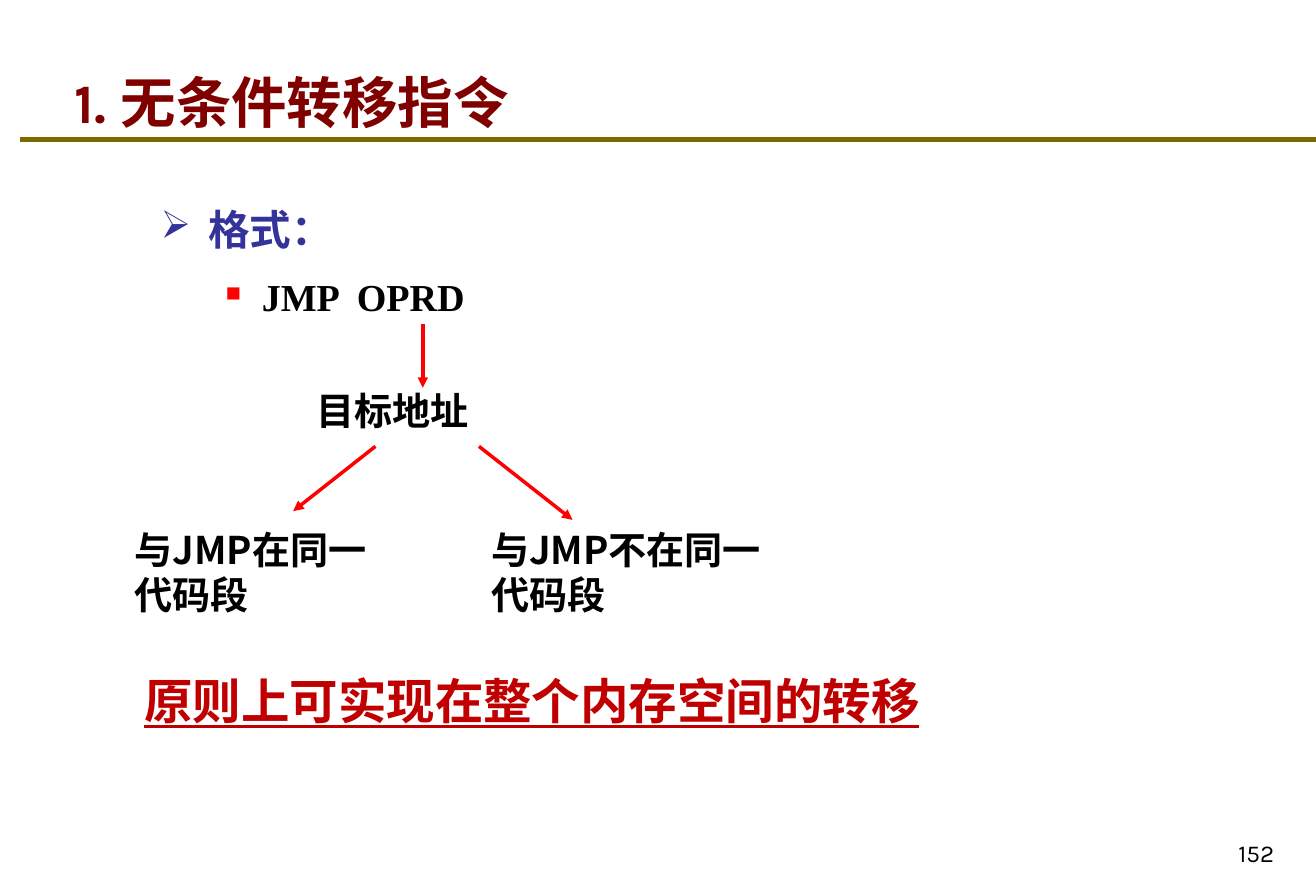
"""Build the slide on the unconditional jump instruction."""
from dataclasses import dataclass

from lxml import etree
from pptx import Presentation
from pptx.dml.color import RGBColor
from pptx.enum.shapes import MSO_CONNECTOR
from pptx.enum.text import MSO_ANCHOR, PP_ALIGN
from pptx.oxml.ns import qn
from pptx.util import Inches, Pt

STRAIGHT = MSO_CONNECTOR.STRAIGHT
BOTTOM, TOP = MSO_ANCHOR.BOTTOM, MSO_ANCHOR.TOP
LEFT = PP_ALIGN.LEFT


@dataclass(frozen=True)
class Theme:
    sans: str = "Karla"
    cjk: str = "Noto Sans CJK SC"
    serif: str = "Times New Roman"
    black: str = "000000"
    maroon: str = "800000"
    navy: str = "333399"
    red: str = "FF0000"
    crimson: str = "C00000"
    olive: str = "806800"
    title: int = 32
    conclusion: int = 28
    heading: int = 24
    body: int = 22
    number: int = 14


THEME = Theme()


@dataclass(frozen=True)
class Style:
    font: str
    size: int
    color: str
    bold: bool = True
    underline: bool = False


@dataclass(frozen=True)
class Label:
    text: str
    box: tuple[float, float, float, float]
    style: Style
    anchor: MSO_ANCHOR = TOP


@dataclass(frozen=True)
class Line:
    start: tuple[float, float]
    end: tuple[float, float]
    color: str = THEME.red
    width: float = 2
    arrow: bool = True


@dataclass(frozen=True)
class Bullet:
    text: str
    style: Style
    char: str
    color: str
    percent: int
    margin: float
    hanging: float


NODE = Style(THEME.cjk, THEME.body, THEME.black)
TITLE_BOX = (0.5, 0.22, 8.99, 0.91)
TITLE_RUNS = [
    ("1. ", Style(THEME.sans, THEME.title, THEME.maroon)),
    ("无条件转移指令", Style(THEME.cjk, THEME.title, THEME.maroon)),
]
LABELS = [
    Label("152", (9.83, 6.54, 0.64, 0.47),
          Style(THEME.sans, THEME.number, THEME.black, bold=False), BOTTOM),
    Label("目标地址", (2.44, 3.06, 1.93, 0.47), NODE),
    Label("与JMP在同一代码段", (0.98, 4.17, 2.29, 0.84), NODE),
    Label("与JMP不在同一代码段", (3.84, 4.17, 2.46, 0.84), NODE),
    Label("原则上可实现在整个内存空间的转移", (1.06, 5.33, 7.03, 0.57),
          Style(THEME.cjk, THEME.conclusion, THEME.crimson, underline=True)),
]
FORMAT_BOX = (1.19, 1.51, 6.01, 1.52)
BULLETS = [
    Bullet("格式：", Style(THEME.cjk, THEME.heading, THEME.navy),
           "➢", THEME.navy, 93, 0.38, 0.38),
    Bullet("JMP  OPRD", Style(THEME.serif, THEME.body, THEME.black),
           "■", THEME.red, 55, 0.81, 0.29),
]
LINES = [
    Line((0.16, 1.12), (10.55, 1.12), THEME.olive, 3, arrow=False),
    Line((3.39, 2.6), (3.39, 3.11)),
    Line((3.01, 3.58), (2.35, 4.1)),
    Line((3.84, 3.58), (4.59, 4.17)),
]


def format_run(r, style: Style) -> None:
    """Apply a style to a run, for Latin and East Asian letters alike."""
    r.font.size = Pt(style.size)
    r.font.bold = style.bold
    r.font.underline = style.underline
    r.font.color.rgb = RGBColor.from_string(style.color)
    r.font.name = style.font
    etree.SubElement(r.font._element, qn("a:ea"), typeface=style.font)


def add_box(s, box: tuple[float, float, float, float], anchor: MSO_ANCHOR = TOP):
    """Add a wrapping text box and return its text frame."""
    tf = s.shapes.add_textbox(*map(Inches, box)).text_frame
    tf.word_wrap = True
    tf.vertical_anchor = anchor
    return tf


def add_label(s, label: Label) -> None:
    """Add a text box with one styled paragraph."""
    tf = add_box(s, label.box, label.anchor)
    tf.text = label.text
    format_run(tf.paragraphs[0].runs[0], label.style)


def add_line(s, line: Line) -> None:
    """Add a straight line, with an arrowhead if asked for."""
    c = s.shapes.add_connector(STRAIGHT, *map(Inches, line.start + line.end))
    c.line.color.rgb = RGBColor.from_string(line.color)
    c.line.width = Pt(line.width)
    if line.arrow:
        etree.SubElement(c.line._get_or_add_ln(), qn("a:tailEnd"), type="triangle")
    etree.SubElement(c._element.spPr, qn("a:effectLst"))


def format_bullet(p, bullet: Bullet) -> None:
    """Give a paragraph its bullet and hanging indent."""
    pr = p._p.get_or_add_pPr()
    pr.set("marL", str(Inches(bullet.margin)))
    pr.set("indent", str(-Inches(bullet.hanging)))
    color = etree.SubElement(pr, qn("a:buClr"))
    etree.SubElement(color, qn("a:srgbClr"), val=bullet.color)
    etree.SubElement(pr, qn("a:buSzPct"), val=str(bullet.percent * 1000))
    etree.SubElement(pr, qn("a:buChar"), char=bullet.char)


def add_bullets(s) -> None:
    """Add the instruction format as a two-level list."""
    tf = add_box(s, FORMAT_BOX)
    tf.text = "\n".join(bullet.text for bullet in BULLETS)
    for level, (p, bullet) in enumerate(zip(tf.paragraphs, BULLETS)):
        format_bullet(p, bullet)
        p.level = level
        p.line_spacing = 1.2
        p.space_after = Pt(6)
        format_run(p.runs[0], bullet.style)


def set_title(s) -> None:
    """Place and fill the title placeholder."""
    title = s.shapes.title
    title.left, title.top, title.width, title.height = map(Inches, TITLE_BOX)
    tf = title.text_frame
    tf.vertical_anchor = BOTTOM
    p = tf.paragraphs[0]
    p.alignment = LEFT
    for text, style in TITLE_RUNS:
        r = p.add_run()
        r.text = text
        format_run(r, style)


def main() -> None:
    """Build and save the presentation."""
    prs = Presentation()
    prs.slide_width, prs.slide_height = Inches(10.55), Inches(7.09)
    s = prs.slides.add_slide(prs.slide_layouts[5])
    set_title(s)
    add_bullets(s)
    for label in LABELS:
        add_label(s, label)
    for line in LINES:
        add_line(s, line)
    prs.save("out.pptx")


if __name__ == "__main__":
    main()
